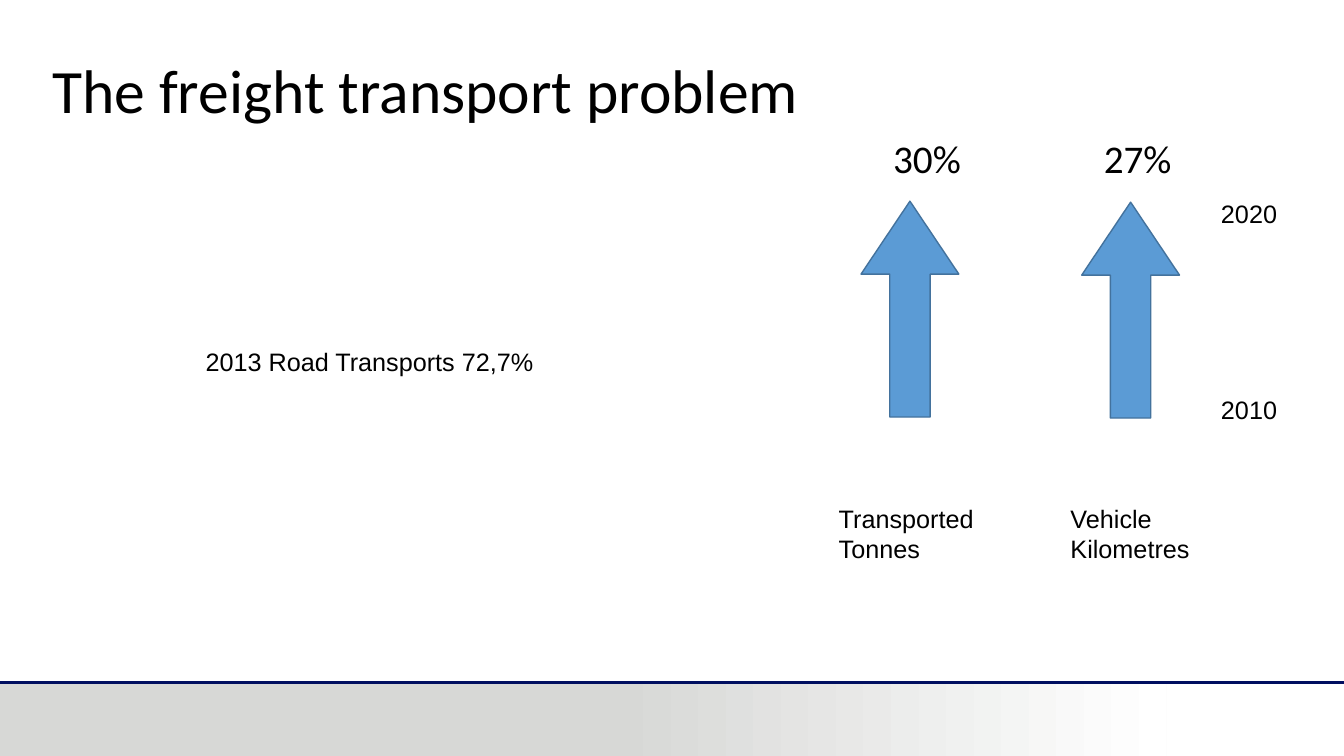
from lxml.etree import SubElement
from pptx import Presentation
from pptx.dml.color import RGBColor
from pptx.enum.shapes import MSO_CONNECTOR, MSO_SHAPE
from pptx.enum.text import MSO_ANCHOR, MSO_AUTO_SIZE
from pptx.oxml.ns import qn
from pptx.util import Inches, Pt

WIDTH, HEIGHT = 13.33, 7.5
GREY, WHITE, NAVY, BLACK = "D7D8D6", "FFFFFF", "000F60", "000000"
ARROW_FILL, ARROW_LINE = "5B9BD5", "43729D"


def color(value):
    return RGBColor.from_string(value)


def add_text(slide, box, text, size=18, font="Arial", wrap=True, grow=True, spacing=None):
    tf = slide.shapes.add_textbox(*map(Inches, box)).text_frame
    tf.word_wrap = wrap
    tf.vertical_anchor = MSO_ANCHOR.TOP
    tf.auto_size = MSO_AUTO_SIZE.SHAPE_TO_FIT_TEXT if grow else MSO_AUTO_SIZE.NONE
    tf.text = text
    for p in tf.paragraphs:
        p.font.size = Pt(size)
        p.font.name = font
        p.font.color.rgb = color(BLACK)
        p.line_spacing = spacing


def add_plain_shape(slide, kind, box):
    sp = slide.shapes.add_shape(kind, *map(Inches, box))
    sp.shadow.inherit = False
    sp.line.fill.background()
    return sp


def add_footer(slide, left, top, width, height):
    """Grey band that fades to white, under a navy rule."""
    band = add_plain_shape(slide, MSO_SHAPE.RECTANGLE, (left, top, 0.46 * width, height))
    band.fill.solid()
    band.fill.fore_color.rgb = color(GREY)

    fade_box = (left + 0.458 * width, top, 0.41 * width, height)
    fade = add_plain_shape(slide, MSO_SHAPE.RECTANGLE, fade_box)
    fade.fill.gradient()
    fade.fill.gradient_angle = 0
    for stop, value in zip(fade.fill.gradient_stops, (GREY, WHITE)):
        stop.color.rgb = color(value)

    rule = slide.shapes.add_connector(
        MSO_CONNECTOR.STRAIGHT, *map(Inches, (left, top, left + width, top)))
    rule.line.color.rgb = color(NAVY)
    rule.line.width = Pt(2)
    SubElement(rule._element.spPr, qn("a:effectLst"))


def add_growth_arrow(slide, left, top, width, height):
    arrow = add_plain_shape(slide, MSO_SHAPE.UP_ARROW, (left, top, width, height))
    arrow.adjustments[0], arrow.adjustments[1] = 0.413, 0.746
    arrow.fill.solid()
    arrow.fill.fore_color.rgb = color(ARROW_FILL)
    arrow.line.color.rgb = color(ARROW_LINE)
    arrow.line.width = Pt(1)


def add_growth(slide, left, top, width, height):
    """Two growth arrows with their percentages, captions and years."""
    columns = [
        # percentage, its offset, caption, its width, arrow offset, arrow drop
        ("30%", 0.54, "Transported\nTonnes", 1.62, 0.32, 0),
        ("27%", 0.33, "Vehicle\nKilometres", 1.39, 0.21, 0.01),
    ]
    arrow_top, arrow_height = top + 0.15 * height, 0.49 * height
    for i, (percent, shift, caption, caption_width, inset, drop) in enumerate(columns):
        x = left + i * 0.485 * width
        add_growth_arrow(slide, x + inset, arrow_top + 0.06 + drop, 0.97, arrow_height)
        add_text(slide, (x + shift, top, 0.95, 0.57), percent, 28, "Calibri", grow=False)
        add_text(slide, (x, top + 3.66, caption_width, 0.71), caption, wrap=False)
    for year, y in (("2020", 0.64), ("2010", 2.58)):
        add_text(slide, (left + 0.8 * width, top + y, 0.94, 0.4), year)


def main():
    prs = Presentation()
    prs.slide_width, prs.slide_height = Inches(WIDTH), Inches(HEIGHT)
    slide = prs.slides.add_slide(prs.slide_layouts[6])
    footer_top = 6.77
    add_footer(slide, 0, footer_top, WIDTH, HEIGHT - footer_top)
    add_text(slide, (0.42, 0.55, 11.5, 1.45), "The freight transport problem",
             44, "Calibri", grow=False, spacing=0.9)
    add_text(slide, (1.94, 3.39, 3.55, 0.4), "2013 Road Transports 72,7%", wrap=False)
    add_growth(slide, 8.22, 1.28, 4.74, 4.37)
    prs.save("out.pptx")


if __name__ == "__main__":
    main()
